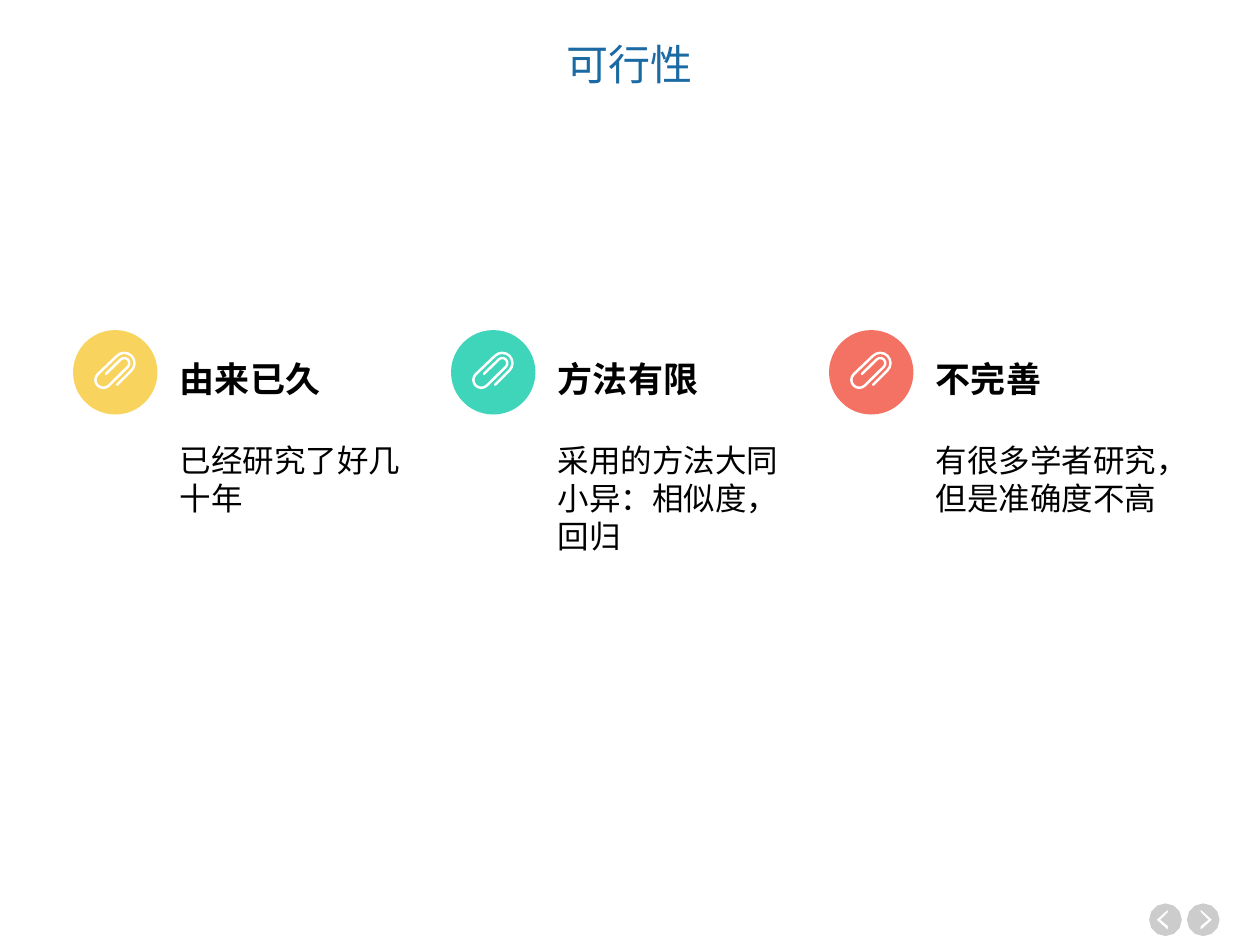
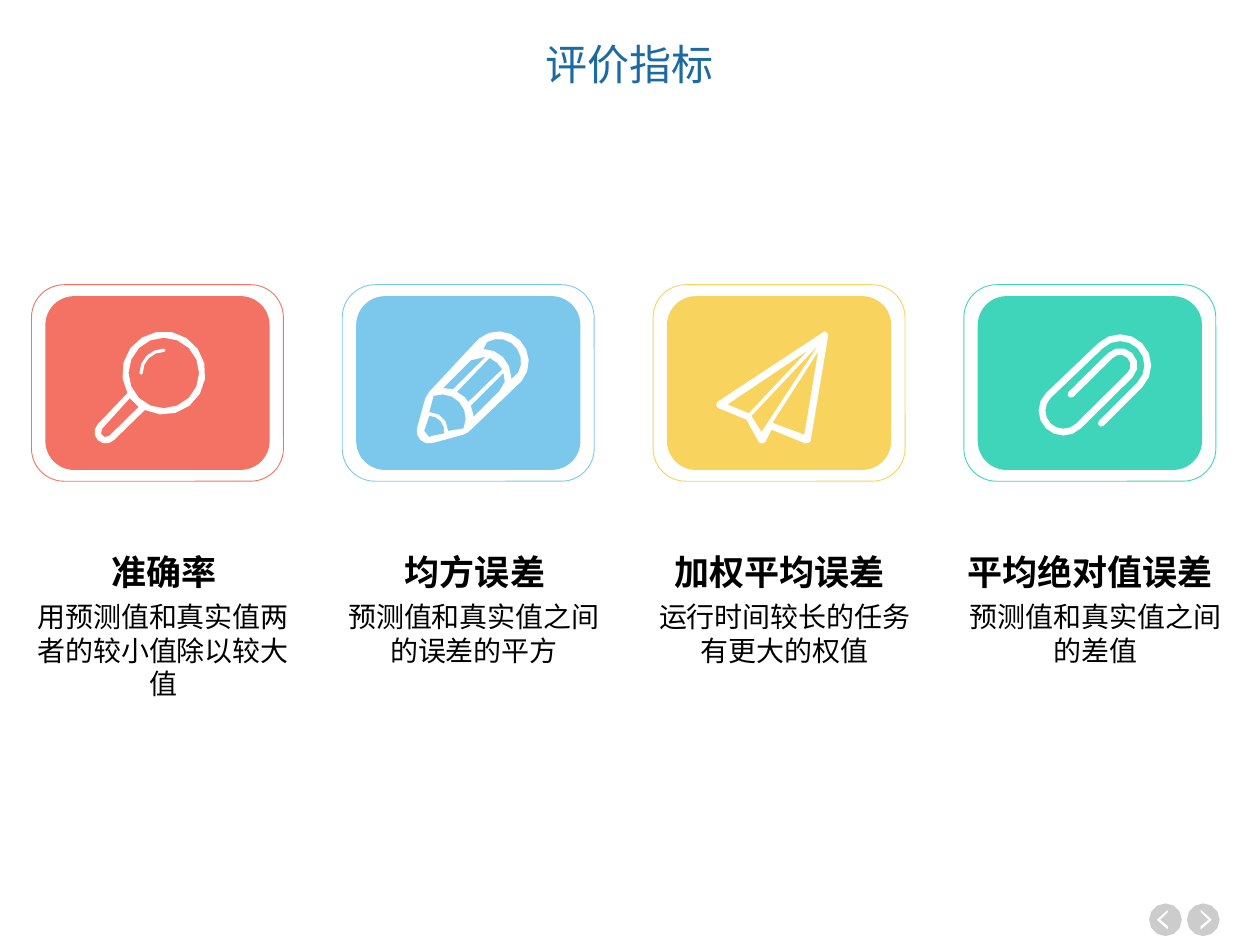
from math import atan2, ceil, cos, degrees, radians, sin

from lxml.etree import SubElement
from pptx import Presentation
from pptx.dml.color import RGBColor as RGB
from pptx.enum.lang import MSO_LANGUAGE_ID as LANG
from pptx.enum.shapes import MSO_SHAPE as SHAPE
from pptx.enum.text import MSO_ANCHOR as ANCHOR, MSO_AUTO_SIZE as FIT, PP_ALIGN as ALIGN
from pptx.oxml.ns import qn
from pptx.util import Emu, Pt

PX = 9144
COLORS = {
    "title": "1B6AA3",
    "text": "000000",
    "white": "FFFFFF",
    "nav": "000000",
    "yellow": "F8D35E",
    "green": "3FD5BA",
    "red": "F47264",
    "blue": "7CC8EC",
}
TITLE = {"size": Pt(24)}
HEADING = {"size": Pt(20), "bold": True}
BODY = {"size": Pt(18), "bold": False}
CAPTION = {"size": Pt(16)}
CENTER = {"alignment": ALIGN.CENTER}


def px(n):
    return Emu(round(n * PX))


def color(name):
    return RGB.from_string(COLORS[name])


def apply(target, values):
    for key, value in values.items():
        setattr(target, key, value)


def arc(cx, cy, radius, start, end):
    step = 22.5 if radius > 15 else 30 if radius > 5 else 60
    steps = ceil(abs(end - start) / step)
    angles = [radians(start + (end - start) * i / steps) for i in range(steps + 1)]
    return [(cx + radius * cos(a), cy + radius * sin(a)) for a in angles]


def circle(cx, cy, radius):
    return arc(cx, cy, radius, 0, 360)[:-1]


def ribbon(points, half):
    outline = []
    for side in (points, points[::-1]):
        for a, b, c in zip(side[:1] + side, side, side[1:] + side[-1:]):
            t = atan2(c[1] - a[1], c[0] - a[0])
            outline.append((b[0] + half * sin(t), b[1] - half * cos(t)))
        t = degrees(t)
        outline += arc(*side[-1], half, t - 90, t + 90)[1:-1]
    return outline


CLIP = [ribbon(
    [(49, 71)] + arc(64, 25, 22, 45, -135) + arc(19, 61, 17, 225, 45)
    + arc(64, 25, 11, 45, -135) + [(25, 48)], 2.7)]
LENS = [
    arc(55, 33, 33, 151, 477) + arc(9, 80, 9, 45, 225),
    circle(55, 33, 28),
    arc(9, 80, 4, 45, 225) + [(28, 53), (35, 60)],
]
GLINT = [ribbon(arc(55, 33, 18, 180, 270), 1.3)]
PLANE = [
    [(88, 1), (86, 0), (1, 56), (0, 59), (2, 61), (24, 70), (34, 88), (36, 89),
     (39, 88), (44, 78), (71, 89), (74, 88), (75, 87), (89, 3)],
    [(70, 82), (46, 73), (45, 72), (81, 16)],
    [(28, 67), (81, 11), (36, 80)],
    [(9, 58), (73, 15), (26, 65)],
]
PENCIL = [
    arc(65, 24, 24, -130, 40) + [(41, 80), (37, 82)]
    + arc(10, 79, 10, 75, 190) + [(7, 53), (10, 48)],
    arc(65, 24, 18, -120, 30) + [(75, 38)] + arc(53, 36, 22, 0, -90),
    arc(10, 79, 15, 0, -90) + arc(20, 69, 19, -110, 25),
    [(12, 83), (10, 84), (6, 79)] + arc(10, 79, 12, -90, 10),
    [(29, 46), (21, 45), (43, 23), (55, 20)],
    [(41, 56), (38, 52), (32, 48), (58, 21), (64, 25), (68, 30)],
    [(45, 66), (43, 59), (69, 33), (70, 40), (66, 47), (45, 68)],
]
CHEVRON = [(11, 5), (11, 7), (17, 13), (11, 18), (11, 21), (20, 13)]
NEXT = [circle(13, 13, 13), CHEVRON]
PREV = [NEXT[0], [(26 - x, y) for x, y in CHEVRON]]


class Deck:
    font = {"name": "Roboto Condensed", "language_id": LANG.SIMPLIFIED_CHINESE}

    def __init__(self, width, height):
        self.prs = Presentation()
        apply(self.prs, {"slide_width": px(width), "slide_height": px(height)})
        self.s = None

    def slide(self, title):
        self.s = self.prs.slides.add_slide(self.prs.slide_layouts[6])
        for x, contours in ((942, NEXT), (912, PREV)):
            self.icon(x, 717, contours, "nav", alpha=20)
        self.shape(SHAPE.RECTANGLE, 0, 0, 1000, 122, "white")
        frame = {"vertical_anchor": ANCHOR.MIDDLE, "auto_size": FIT.NONE}
        self.text(225, 33, 550, 40, [(title, TITLE, {**CENTER, "line_spacing": 0.9})],
                  frame, "title")

    def paint(self, sp, fill=None, line=None):
        sp.shadow.inherit = False
        if fill:
            sp.fill.solid()
            sp.fill.fore_color.rgb = color(fill)
        else:
            sp.fill.background()
        if line:
            sp.line.color.rgb = color(line)
            sp.line.width = Pt(0.5)
        else:
            sp.line.fill.background()

    def shape(self, kind, x, y, w, h, fill=None, line=None):
        sp = self.s.shapes.add_shape(kind, px(x), px(y), px(w), px(h))
        self.paint(sp, fill, line)

    def icon(self, x, y, contours, fill="white", zoom=1, alpha=None):
        placed = [[(px(x + u * zoom), px(y + v * zoom)) for u, v in c] for c in contours]
        fb = self.s.shapes.build_freeform(*placed[0][0])
        fb.add_line_segments(placed[0][1:])
        for contour in placed[1:]:
            fb.move_to(*contour[0])
            fb.add_line_segments(contour[1:])
        sp = fb.convert_to_shape()
        self.paint(sp, fill)
        if alpha:
            clr = sp.fill._xPr.find(qn("a:solidFill"))[0]
            SubElement(clr, qn("a:alpha"), val=str(alpha * 1000))

    def text(self, x, y, w, h, paragraphs, frame=None, ink="text"):
        tf = self.s.shapes.add_textbox(px(x), px(y), px(w), px(h)).text_frame
        apply(tf, {"word_wrap": True, "auto_size": FIT.SHAPE_TO_FIT_TEXT, **(frame or {})})
        for i, (words, font, layout) in enumerate(paragraphs):
            p = tf.add_paragraph() if i else tf.paragraphs[0]
            apply(p, layout)
            r = p.add_run()
            r.text = words
            apply(r.font, {**self.font, **font})
            r.font.color.rgb = color(ink)


def feasibility(deck):
    deck.slide("可行性")
    points = [
        ("yellow", "由来已久", "已经研究了好几十年", 138),
        ("green", "方法有限", "采用的方法大同小异：相似度，回归", 168),
        ("red", "不完善", "有很多学者研究，但是准确度不高", 138),
    ]
    for i, (fill, heading, body, height) in enumerate(points):
        x = 58 + 300 * i
        deck.shape(SHAPE.OVAL, x, 262, 67, 67, fill)
        deck.icon(x + 17, 279, CLIP, zoom=0.37)
        deck.text(x + 75, 279, 208, height,
                  [(heading, HEADING, {}), (body, BODY, {"space_before": Pt(23.5)})])


def metrics(deck):
    deck.slide("评价指标")
    cards = [
        ("green", "平均绝对值误差", 747, 236, "预测值和真实值之间的差值", 64,
         (CLIP,), 49, 265),
        ("yellow", "加权平均误差", 524, 189, "运行时间较长的任务有更大的权值", 64,
         (PLANE,), 39, 263),
        ("blue", "均方误差", 293, 168, "预测值和真实值之间的误差的平方", 64,
         (PENCIL,), 48, 263),
        ("red", "准确率", 46, 168, "用预测值和真实值两者的较小值除以较大值", 91,
         (LENS, GLINT), 39, 263),
    ]
    for i, (fill, heading, left, width, body, height, icons, dx, top) in enumerate(cards):
        x = 776 - 740 * i / 3
        deck.shape(SHAPE.ROUNDED_RECTANGLE, x, 235, 178, 138, fill)
        deck.text(x - 20, 471, 227, height, [(body, CAPTION, CENTER)])
        deck.text(left, 432, width, 44, [(heading, HEADING, CENTER)])
        for contours in icons:
            deck.icon(x + dx, top, contours)
        deck.shape(SHAPE.ROUNDED_RECTANGLE, x - 11, 226, 200, 156, line=fill)


def main():
    deck = Deck(1000, 750)
    feasibility(deck)
    metrics(deck)
    deck.prs.save("out.pptx")


if __name__ == "__main__":
    main()
